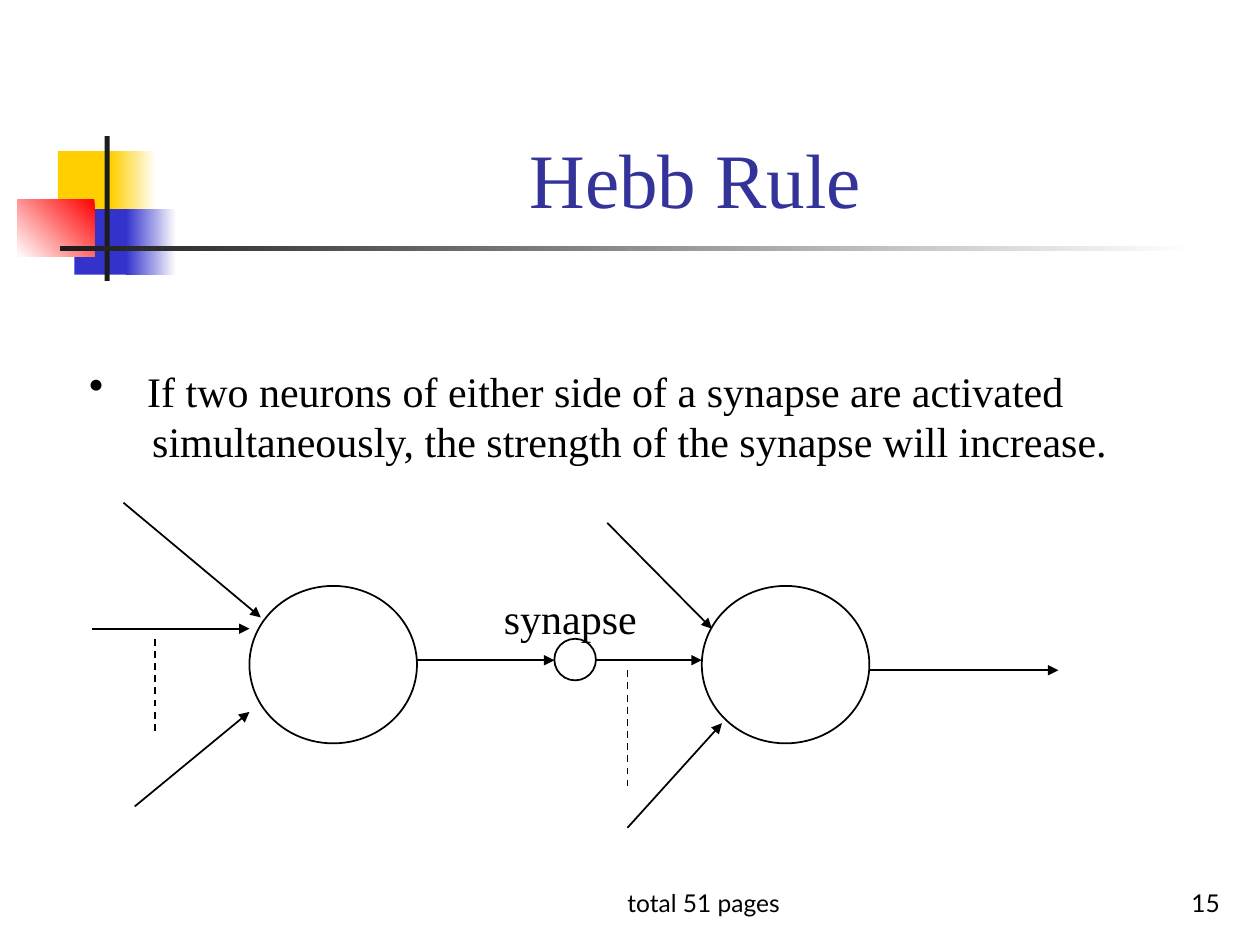
from dataclasses import dataclass

from lxml import etree
from pptx import Presentation
from pptx import util as u
from pptx.dml import color
from pptx.enum import dml, shapes, text
from pptx.oxml import ns


@dataclass(frozen=True)
class Theme:
    white: str = "FFFFFF"
    black: str = "000000"
    yellow: str = "FFCF01"
    blue: str = "3333CC"
    red: str = "FF0000"
    dark: str = "1C1C1C"
    title: str = "333399"
    serif: str = "Times New Roman"
    sans: str = "Lato"
    title_size: int = 44
    body_size: int = 24
    footer_size: int = 14
    body_spacing: float = 28.8
    line_width: int = 1


@dataclass(frozen=True)
class Box:
    left: float
    top: float
    width: float
    height: float

    def inner(self, left, top, width, height):
        return Box(self.left + left, self.top + top, width, height)

    def lengths(self):
        return [u.Inches(n) for n in (self.left, self.top, self.width, self.height)]


THEME = Theme()


def rgb(value):
    return color.RGBColor.from_string(value)


def add_child(parent, tag, **attributes):
    return etree.SubElement(parent, ns.qn(tag), attributes)


def add_filled(slide, box, kind, fill, end=None, angle=180, line=None):
    shape = slide.shapes.add_shape(kind, *box.lengths())
    shape.shadow.inherit = False
    if end:
        shape.fill.gradient()
        shape.fill.gradient_angle = angle
        for stop, value in zip(shape.fill.gradient_stops, (fill, end)):
            stop.color.rgb = rgb(value)
    else:
        shape.fill.solid()
        shape.fill.fore_color.rgb = rgb(fill)
    if line:
        shape.line.color.rgb = rgb(line)
        shape.line.width = u.Pt(THEME.line_width)
    else:
        shape.line.fill.background()


def add_line(slide, box, start, end, dashed=False):
    points = [u.Inches(n) for x, y in (start, end) for n in (box.left + x, box.top + y)]
    connector = slide.shapes.add_connector(shapes.MSO_CONNECTOR.STRAIGHT, *points)
    connector.line.color.rgb = rgb(THEME.black)
    connector.line.width = u.Pt(THEME.line_width)
    if dashed:
        connector.line.dash_style = dml.MSO_LINE.DASH
    else:
        add_child(connector.line._get_or_add_ln(), "a:tailEnd", type="triangle")
    add_child(connector._element.spPr, "a:effectLst")


def format_paragraph(paragraph, font, size, fill, align, spacing=None):
    paragraph.alignment = align
    if spacing:
        paragraph.line_spacing = u.Pt(spacing)
    paragraph.font.name = font
    paragraph.font.size = u.Pt(size)
    paragraph.font.color.rgb = rgb(fill)


def add_text(slide, box, content, font=THEME.serif, size=THEME.body_size, fill=THEME.black,
             align=text.PP_ALIGN.LEFT, anchor=text.MSO_ANCHOR.TOP, spacing=None):
    frame = slide.shapes.add_textbox(*box.lengths()).text_frame
    frame.word_wrap = True
    frame.vertical_anchor = anchor
    frame.text = content
    for paragraph in frame.paragraphs:
        format_paragraph(paragraph, font, size, fill, align, spacing)
    return frame


def add_ornament(slide, box):
    rectangle = shapes.MSO_SHAPE.RECTANGLE
    parts = [
        ((0.32, 0.12, 0.48, 0.52), THEME.yellow, None, 180),
        ((0.74, 0.12, 0.36, 0.52), THEME.white, THEME.yellow, 180),
        ((0.45, 0.58, 0.46, 0.52), THEME.blue, None, 180),
        ((0.86, 0.58, 0.4, 0.52), THEME.white, THEME.blue, 180),
        ((0, 0.5, 0.61, 0.46), THEME.red, THEME.white, 225),
        ((0.69, 0, 0.04, box.height), THEME.dark, None, 180),
        ((0.34, 0.87, box.width - 0.34, 0.04), THEME.white, THEME.dark, 180),
    ]
    for place, fill, end, angle in parts:
        add_filled(slide, box.inner(*place), rectangle, fill, end, angle)


def add_title(slide, box):
    add_text(slide, box, "Hebb Rule", size=THEME.title_size, fill=THEME.title,
             align=text.PP_ALIGN.CENTER, anchor=text.MSO_ANCHOR.BOTTOM)


def add_statement(slide, box):
    frame = add_text(
        slide, box,
        "If two neurons of either side of a synapse are activated\n"
        "simultaneously, the strength of the synapse will increase.",
        spacing=THEME.body_spacing)
    for paragraph, margin, indent in zip(frame.paragraphs, (0.46, 0.5), (-0.46, 0)):
        properties = paragraph._p.get_or_add_pPr()
        properties.set("marL", str(u.Inches(margin)))
        properties.set("indent", str(u.Inches(indent)))
    bullet = etree.Element(ns.qn("a:buChar"), char="•")
    properties = frame.paragraphs[0]._p.pPr
    properties.insert_element_before(bullet, "a:tabLst", "a:defRPr", "a:extLst")


def add_neurons(slide, box):
    neuron = (1.33, 1.25)
    synapse = (0.33, 0.33)
    circles = [(1.25, 0.66, *neuron), (4.84, 0.66, *neuron), (3.67, 1.08, *synapse)]
    for place in circles:
        add_filled(slide, box.inner(*place), shapes.MSO_SHAPE.OVAL, THEME.white,
                   line=THEME.black)
    arrows = [
        ((0.25, 0), (1.34, 0.91)),
        ((0, 1), (1.25, 1)),
        ((0.34, 2.41), (1.25, 1.66)),
        ((2.58, 1.25), (3.67, 1.25)),
        ((4, 1.25), (4.84, 1.25)),
        ((4.09, 0.16), (4.92, 1)),
        ((4.25, 2.58), (5, 1.75)),
        ((6.17, 1.33), (7.67, 1.33)),
    ]
    for start, end in arrows:
        add_line(slide, box, start, end)
    for x, top, bottom in ((0.5, 1.08, 1.83), (4.25, 1.33, 2.25)):
        add_line(slide, box, (x, top), (x, bottom), dashed=True)
    add_text(slide, box.inner(3.17, 0.66, 1.35, 0.5), "synapse",
             spacing=THEME.body_spacing)


def add_footer(slide, box):
    style = dict(font=THEME.sans, size=THEME.footer_size, anchor=text.MSO_ANCHOR.BOTTOM)
    add_text(slide, box.inner(0, 0, 3.17, box.height), "total 51 pages",
             align=text.PP_ALIGN.CENTER, **style)
    add_text(slide, box.inner(3.7, 0, 2.08, box.height), "15",
             align=text.PP_ALIGN.RIGHT, **style)


def main():
    presentation = Presentation()
    presentation.slide_width = u.Inches(10)
    presentation.slide_height = u.Inches(7.5)
    slide = presentation.slides.add_slide(presentation.slide_layouts[6])
    add_ornament(slide, Box(0.14, 1.08, 9.34, 1.15))
    add_title(slide, Box(1.26, 0.23, 8.52, 1.6))
    add_neurons(slide, Box(0.73, 3.99, 7.67, 2.58))
    add_statement(slide, Box(0.61, 2.85, 9.05, 0.9))
    add_footer(slide, Box(4, 6.83, 5.78, 0.5))
    presentation.save("out.pptx")


if __name__ == "__main__":
    main()
